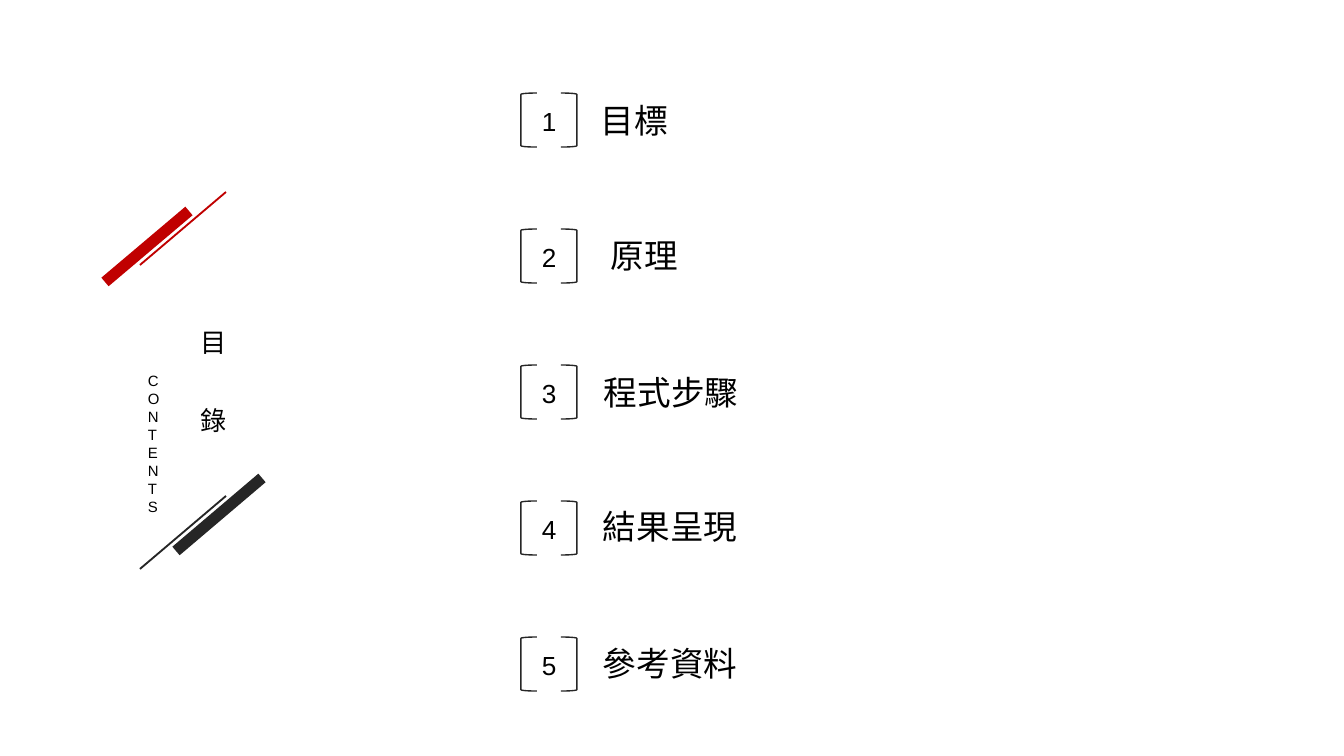
from lxml import etree
from pptx import Presentation, util as u
from pptx.dml.color import RGBColor
from pptx.enum import shapes, text
from pptx.oxml.ns import qn

PX = 914400 / 134.4
BLACK, DARK, RED = "000000", "262626", "C00000"
FIRST_ROW, ROW_STEP = 93, 136
ENTRIES = [
    ("目標", 591, 95, 89, 51),
    ("原理", 601, 230, 89, 51),
    ("程式步驟", 594, 367, 156, 51),
    ("結果呈現", 593, 501, 341, 40),
    ("參考資料", 593, 638, 222, 51),
]
STRIPES = [
    [(189, 211, 105, 282, RED, 6), (226, 192, 140, 265, RED, 1)],
    [(176, 551, 262, 478, DARK, 6), (140, 569, 226, 496, DARK, 1)],
]
FRAME = {
    "word_wrap": True,
    "vertical_anchor": text.MSO_ANCHOR.TOP,
    "margin_left": u.Emu(round(10 * PX)),
    "margin_right": u.Emu(round(10 * PX)),
    "margin_top": u.Emu(round(5 * PX)),
    "margin_bottom": u.Emu(round(5 * PX)),
}


def px(*lengths):
    """Turn px lengths into EMU."""
    return [u.Emu(round(n * PX)) for n in lengths]


def rgb(value):
    """Return the colour for a hex string."""
    return RGBColor.from_string(value)


def add_text(parent, box, lines, size, spacing=None):
    """Add a text box with one paragraph per line."""
    tf = parent.shapes.add_textbox(*px(*box)).text_frame
    for name, value in FRAME.items():
        setattr(tf, name, value)
    for i, line in enumerate(lines):
        p = tf.paragraphs[0] if i == 0 else tf.add_paragraph()
        p.line_spacing = spacing
        r = p.add_run()
        r.text = line
        for name, value in {"name": "Arial", "size": u.Pt(size)}.items():
            setattr(r.font, name, value)
        r.font.color.rgb = rgb(BLACK)


def add_line(parent, x1, y1, x2, y2, color, width):
    """Add a straight line without a shadow."""
    s = parent.shapes.add_connector(shapes.MSO_CONNECTOR.STRAIGHT, *px(x1, y1, x2, y2))
    s.line.color.rgb = rgb(color)
    s.line.width = u.Pt(width)
    etree.SubElement(s.element.spPr, qn("a:effectLst"))


def add_bracket(parent, x, y, flip):
    """Add a thin bracket, mirrored when flip is set."""
    s = parent.shapes.add_shape(shapes.MSO_SHAPE.LEFT_BRACKET, *px(x, y, 16, 54))
    s.adjustments[0] = 0.08
    s.shadow.inherit = False
    s.fill.background()
    s.line.color.rgb = rgb(DARK)
    s.line.width = u.Pt(0.75)
    if flip:
        s.element.spPr.xfrm.set("flipH", "1")


def add_entry(slide, number, label, box):
    """Add one contents entry: bracketed number and label."""
    group = slide.shapes.add_group_shape()
    y = FIRST_ROW + (number - 1) * ROW_STEP
    add_text(group, (532, y + 7, 35, 40), [str(number)], 14)
    add_bracket(group, 521, y, False)
    add_bracket(group, 561, y, True)
    add_text(group, box, [label], 18)


def main():
    """Build the contents slide."""
    prs = Presentation()
    prs.slide_width, prs.slide_height = px(1344, 756)
    slide = prs.slides.add_slide(prs.slide_layouts[6])
    for pair in STRIPES:
        group = slide.shapes.add_group_shape()
        for stripe in pair:
            add_line(group, *stripe)
    add_text(slide, (190, 274, 46, 151), ["目", "錄"], 14, 2.5)
    add_text(slide, (138, 367, 24, 146), ["CONTENTS"], 8)
    for number, (label, *box) in enumerate(ENTRIES, 1):
        add_entry(slide, number, label, box)
    prs.save("out.pptx")


if __name__ == "__main__":
    main()
